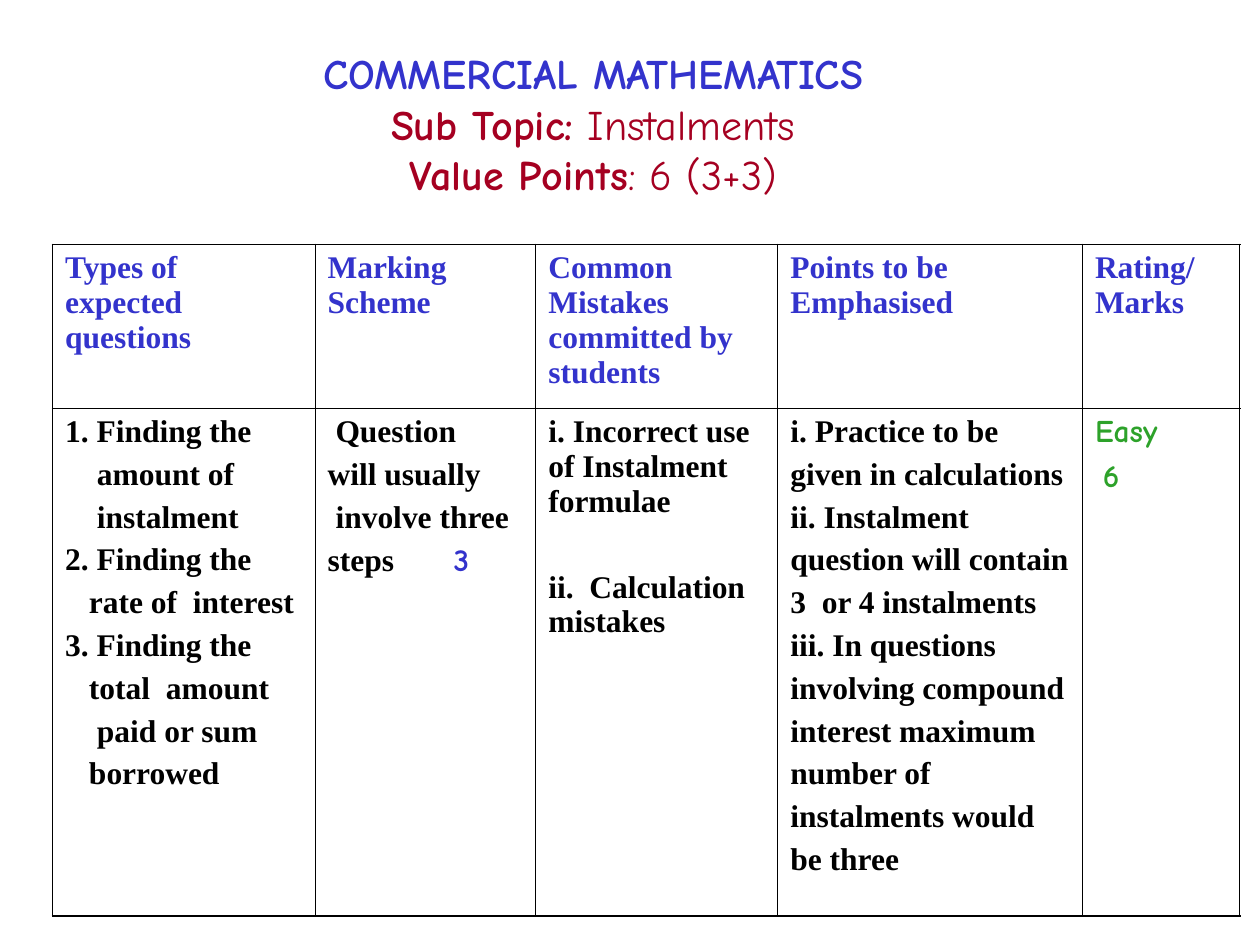
from lxml import etree
from pptx import Presentation
from pptx import util as u
from pptx.dml.color import RGBColor
from pptx.enum import text
from pptx.oxml.ns import qn

COLORS = {"blue": "3333CC", "red": "A50021", "green": "2DA22A", "black": "000000"}
FORMATS = {
    "title": {"name": "Comic Neue", "size": u.Pt(24), "bold": True},
    "title_light": {"name": "Comic Neue", "size": u.Pt(24), "bold": False},
    "body": {"name": "Times New Roman", "size": u.Pt(18), "bold": True},
    "mark": {"name": "Comic Neue", "size": u.Pt(18), "bold": True},
}
SPACE = 0.16
GAP = 4.5

TITLE = [
    [("COMMERCIAL MATHEMATICS", "title", "blue")],
    [("Sub Topic:", "title", "red"), (" Instalments", "title_light", "red")],
    [("Value Points", "title", "red"), (": 6 (3+3)", "title_light", "red")],
]
HEADERS = [
    "Types of expected questions", "Marking Scheme",
    "Common Mistakes committed by students", "Points to be Emphasised", "Rating/ Marks",
]
QUESTIONS = [
    ("1. Finding the", 0), ("amount of", 4), ("instalment", 4),
    ("2. Finding the", 0), ("rate of  interest", 3),
    ("3. Finding the", 0), ("total  amount", 3), ("paid or sum", 4), ("borrowed", 3),
]
SCHEME = [("Question", 1), ("will usually", 0), ("involve three", 1)]
MISTAKES = ["i. Incorrect use of Instalment formulae", "ii.  Calculation mistakes"]
POINTS = [
    "i. Practice to be", "given in calculations", "ii. Instalment", "question will contain",
    "3  or 4 instalments", "iii. In questions", "involving compound", "interest maximum",
    "number of", "instalments would", "be three",
]


def line(words, indent=0, fmt="body", color="black", **options):
    """Describe a one-run paragraph indented by a number of spaces."""
    return {"runs": [(words, fmt, color)], "indent": indent, **options}


class Deck:
    """Holds the style and the current slide."""

    def __init__(self, prs):
        """Add a blank slide to the presentation."""
        self.s = prs.slides.add_slide(prs.slide_layouts[6])

    def fill_text(self, tf, paragraphs, align=text.PP_ALIGN.LEFT, gap=GAP):
        """Fill a text frame with described paragraphs."""
        tf.word_wrap = True
        for i, item in enumerate(paragraphs):
            p = tf.paragraphs[0] if i == 0 else tf.add_paragraph()
            pPr = p._p.get_or_add_pPr()
            pPr.set("marL", str(u.Cm(item.get("indent", 0) * SPACE)))
            pPr.set("indent", "0")
            if "tab" in item:
                tabs = etree.SubElement(pPr, qn("a:tabLst"))
                etree.SubElement(tabs, qn("a:tab"), pos=str(u.Cm(item["tab"])), algn="l")
            p.alignment = align
            p.space_before = u.Pt(item.get("gap", gap) if i else 0)
            for words, fmt, color in item["runs"]:
                r = p.add_run()
                r.text = words
                for key, value in FORMATS[fmt].items():
                    setattr(r.font, key, value)
                r.font.color.rgb = RGBColor.from_string(COLORS[color])

    def textbox(self, box, lines):
        """Add a centred text box."""
        sp = self.s.shapes.add_textbox(*map(u.Cm, box))
        self.fill_text(sp.text_frame, [{"runs": runs} for runs in lines],
                       text.PP_ALIGN.CENTER, gap=0)

    def border(self, cell, edges):
        """Draw the four cell borders from a dict of widths in points."""
        tcPr = cell._tc.get_or_add_tcPr()
        for i, (side, width) in enumerate(edges.items()):
            ln = etree.Element(qn("a:ln" + side), w=str(u.Pt(width)))
            fill = etree.SubElement(ln, qn("a:solidFill"))
            etree.SubElement(fill, qn("a:srgbClr"), val=COLORS["black"])
            tcPr.insert(i, ln)

    def table(self, left, top, widths, heights, rows):
        """Add a ruled table with a heavier outer frame."""
        n, m = len(heights), len(widths)
        tbl = self.s.shapes.add_table(
            n, m, *map(u.Cm, (left, top, sum(widths), sum(heights)))).table
        tbl.first_row = tbl.horz_banding = False
        for column, width in zip(tbl.columns, widths):
            column.width = u.Cm(width)
        for i, (row, height) in enumerate(zip(rows, heights)):
            tbl.rows[i].height = u.Cm(height)
            for j, paragraphs in enumerate(row):
                cell = tbl.cell(i, j)
                cell.fill.background()
                self.fill_text(cell.text_frame, paragraphs)
                outer = {"L": j == 0, "R": j == m - 1, "T": i == 0, "B": i == n - 1}
                self.border(cell, {k: 1.08 if on else 0.45 for k, on in outer.items()})


def main():
    """Build the slide and save it."""
    prs = Presentation()
    prs.slide_width, prs.slide_height = u.Cm(25.4), u.Cm(19.05)
    deck = Deck(prs)
    steps = {"runs": [("steps", "body", "black"), ("\t3", "mark", "blue")], "tab": 3.07}
    header = [[line(words, color="blue")] for words in HEADERS]
    body = [
        [line(*item) for item in QUESTIONS],
        [line(*item) for item in SCHEME] + [steps],
        [line(words, gap=29) for words in MISTAKES],
        [line(words) for words in POINTS],
        [line("Easy", 0, "mark", "green"), line("6", 1, "mark", "green")],
    ]
    deck.table(1.06, 4.93, [5.29, 4.45, 4.88, 6.14, 3.17], [3.3, 10.23], [header, body])
    deck.textbox((2.11, 0.84, 19.69, 3.3), TITLE)
    prs.save("out.pptx")


if __name__ == "__main__":
    main()
